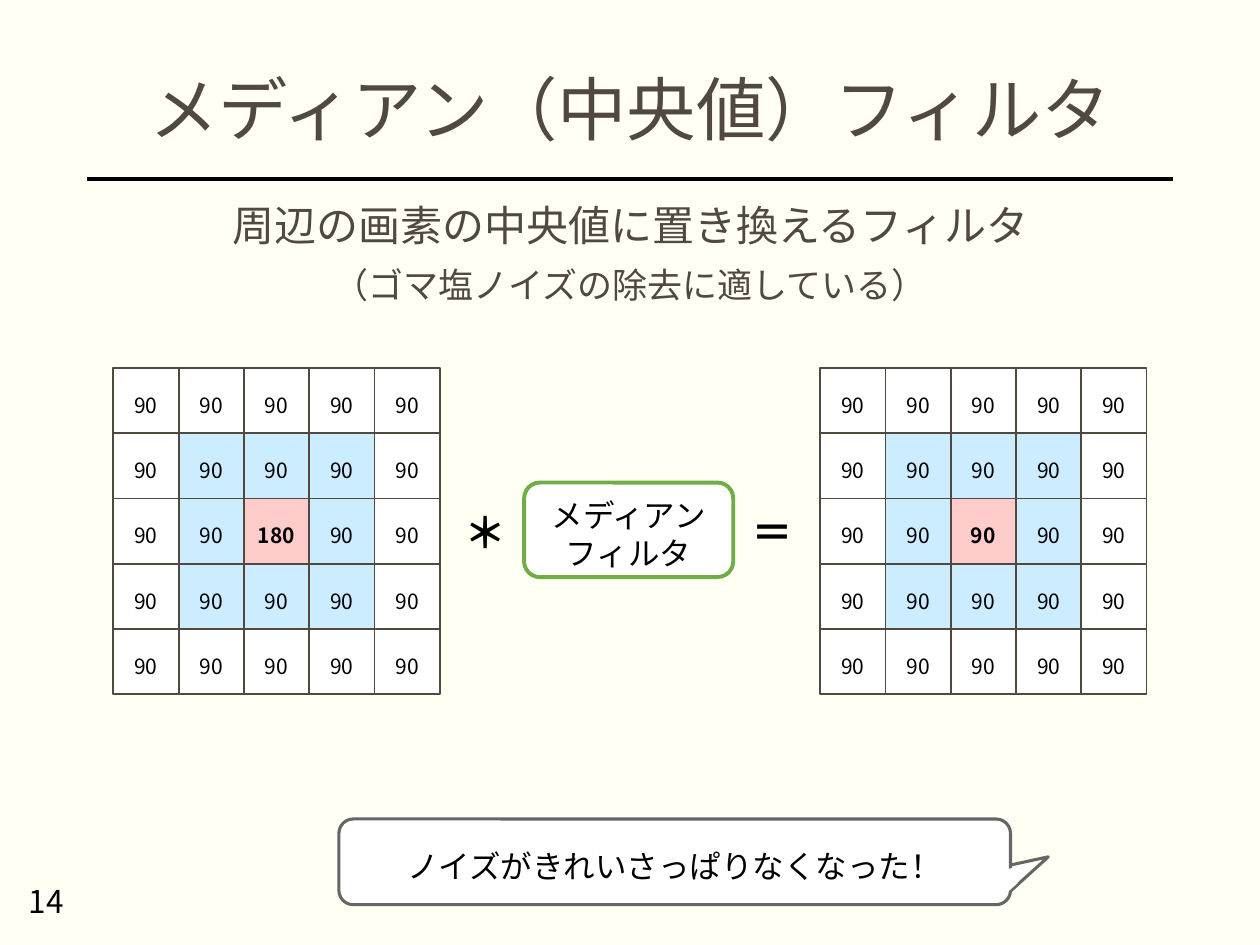
from lxml import etree
from pptx import Presentation
from pptx import util as u
from pptx.dml.color import RGBColor
from pptx.enum import shapes as sh, text as tx
from pptx.oxml.ns import qn

FONT = "Noto Sans CJK JP"
CREAM = RGBColor(0xFF, 0xFF, 0xF3)
BROWN = RGBColor(0x51, 0x48, 0x40)
BLACK = RGBColor(0, 0, 0)
WHITE = RGBColor(0xFF, 0xFF, 0xFF)
BLUE = RGBColor(0xCC, 0xEC, 0xFF)
PINK = RGBColor(0xFF, 0xCC, 0xCC)
GREEN = RGBColor(0x70, 0xAD, 0x47)
GRAY = RGBColor(0x66, 0x66, 0x66)
RECT = sh.MSO_SHAPE.RECTANGLE
ROUND = sh.MSO_SHAPE.ROUNDED_RECTANGLE


def inches(box):
    return [u.Inches(v) for v in box]


def write(shape, *lines, sizes=(18,), color=BLACK, bold=False, center=True,
          middle=True, wrap=True, inset=(0.1, 0.05, 0.1, 0.05),
          spacing=None, gap=0):
    """Fill a shape with one paragraph per line; \\v breaks within one."""
    frame = shape.text_frame
    frame.word_wrap = wrap
    frame.vertical_anchor = tx.MSO_ANCHOR.MIDDLE if middle else tx.MSO_ANCHOR.TOP
    (frame.margin_left, frame.margin_top,
     frame.margin_right, frame.margin_bottom) = inches(inset)
    for i, (line, size) in enumerate(zip(lines, sizes)):
        para = frame.add_paragraph() if i else frame.paragraphs[0]
        para.text = line
        para.alignment = tx.PP_ALIGN.CENTER if center else tx.PP_ALIGN.LEFT
        if spacing:
            para.line_spacing = spacing
        if i and gap:
            para.space_before = u.Pt(gap)
        for run in para.runs:
            font = run.font
            font.size, font.bold, font.name = u.Pt(size), bold, FONT
            font.color.rgb = color
            # Japanese glyphs take the East Asian typeface
            east = etree.SubElement(run._r.get_or_add_rPr(), qn("a:ea"))
            east.set("typeface", FONT)


def paint(shape, fill, line=None, width=1):
    shape.shadow.inherit = False
    shape.fill.solid()
    shape.fill.fore_color.rgb = fill
    if line is None:
        shape.line.fill.background()
    else:
        shape.line.color.rgb = line
        shape.line.width = u.Pt(width)
    return shape


def block(slide, kind, box, fill, line=None, width=1):
    return paint(slide.shapes.add_shape(kind, *inches(box)), fill, line, width)


def label(slide, box, *lines, **form):
    write(slide.shapes.add_textbox(*inches(box)), *lines, **form)


def header(slide, box):
    """Title, rule below it and the two lines of explanation."""
    x, y, w, h = box
    label(slide, (x, y, w, 0.86), "メディアン（中央値）フィルタ",
          sizes=(39.6,), color=BROWN, spacing=0.9)
    rule = slide.shapes.add_connector(
        sh.MSO_CONNECTOR.STRAIGHT, *inches((x, y + 0.95, x + w, y + 0.95)))
    rule.line.color.rgb = BLACK
    rule.line.width = u.Pt(2)
    etree.SubElement(rule._element.spPr, qn("a:effectLst"))
    label(slide, (x, y + 1.11, w, h - 1.11),
          "周辺の画素の中央値に置き換えるフィルタ",
          "（ゴマ塩ノイズの除去に適している）",
          sizes=(24, 20), color=BROWN, middle=False, spacing=0.9, gap=10)


def grid(slide, box, core, count=5):
    """Pixel values: a pink core, a blue ring around it, white outside."""
    x, y, w, h = box
    dx, dy, mid = w / count, h / count, count // 2
    for row in range(count):
        for col in range(count):
            ring = max(abs(row - mid), abs(col - mid))
            fill = (PINK, BLUE, WHITE)[ring]
            cell = block(slide, RECT, (x + col * dx, y + row * dy, dx, dy),
                         fill, BROWN)
            write(cell, "90" if ring else core, sizes=(12,), bold=ring == 0,
                  inset=(0.04, 0.12, 0.04, 0.05))


def equation(slide, box):
    """Noisy pixels * median filter = clean pixels."""
    x, y, w, h = box
    grid(slide, (x, y, h, h), "180")
    grid(slide, (x + w - h, y, h, h), "90")
    for sign, left in (("＊", 2.69), ("＝", 4.97)):
        label(slide, (x + left, y + 1.05, 0.54, 0.5), sign, sizes=(24,),
              bold=True, center=False, middle=False, wrap=False)
    step = block(slide, ROUND, (x + 3.26, y + 0.91, 1.66, 0.75),
                 WHITE, GREEN, 2.25)
    write(step, "メディアン\vフィルタ", inset=(0.1, 0.12, 0.1, 0.05))


def remark(slide, box):
    """Speech bubble whose tail points right."""
    x, y, w, h = box
    edge = x + w
    # Tail behind the bubble
    pen = slide.shapes.build_freeform(
        u.Inches(edge - 0.02), u.Inches(y + 0.37), scale=1.0)
    pen.add_line_segments([inches((edge + 0.3, y + 0.3)),
                           inches((edge - 0.02, y + 0.59))], close=True)
    paint(pen.convert_to_shape(), WHITE, GRAY, 1.75)
    bubble = block(slide, ROUND, box, WHITE, GRAY, 1.75)
    write(bubble, "ノイズがきれいさっぱりなくなった！", wrap=False,
          inset=(0.1, 0.12, 0.1, 0.05))
    # Patches open the border between bubble and tail
    for dx, dy, pw, ph, turn in ((-0.08, 0.36, 0.09, 0.17, 78),
                                 (-0.05, 0.46, 0.08, 0.11, 47.5)):
        patch = block(slide, RECT, (edge + dx, y + dy, pw, ph), WHITE)
        patch.rotation = turn


def main():
    deck = Presentation()
    deck.slide_width, deck.slide_height = inches((10, 7.5))
    slide = deck.slides.add_slide(deck.slide_layouts[6])
    slide.background.fill.solid()
    slide.background.fill.fore_color.rgb = CREAM
    header(slide, (0.69, 0.47, 8.62, 2.21))
    equation(slide, (0.9, 2.92, 8.2, 2.59))
    remark(slide, (2.69, 6.5, 5.33, 0.68))
    # Page number
    label(slide, (0.13, 6.95, 2.25, 0.4), "14", center=False, middle=False)
    deck.save("out.pptx")


if __name__ == "__main__":
    main()
